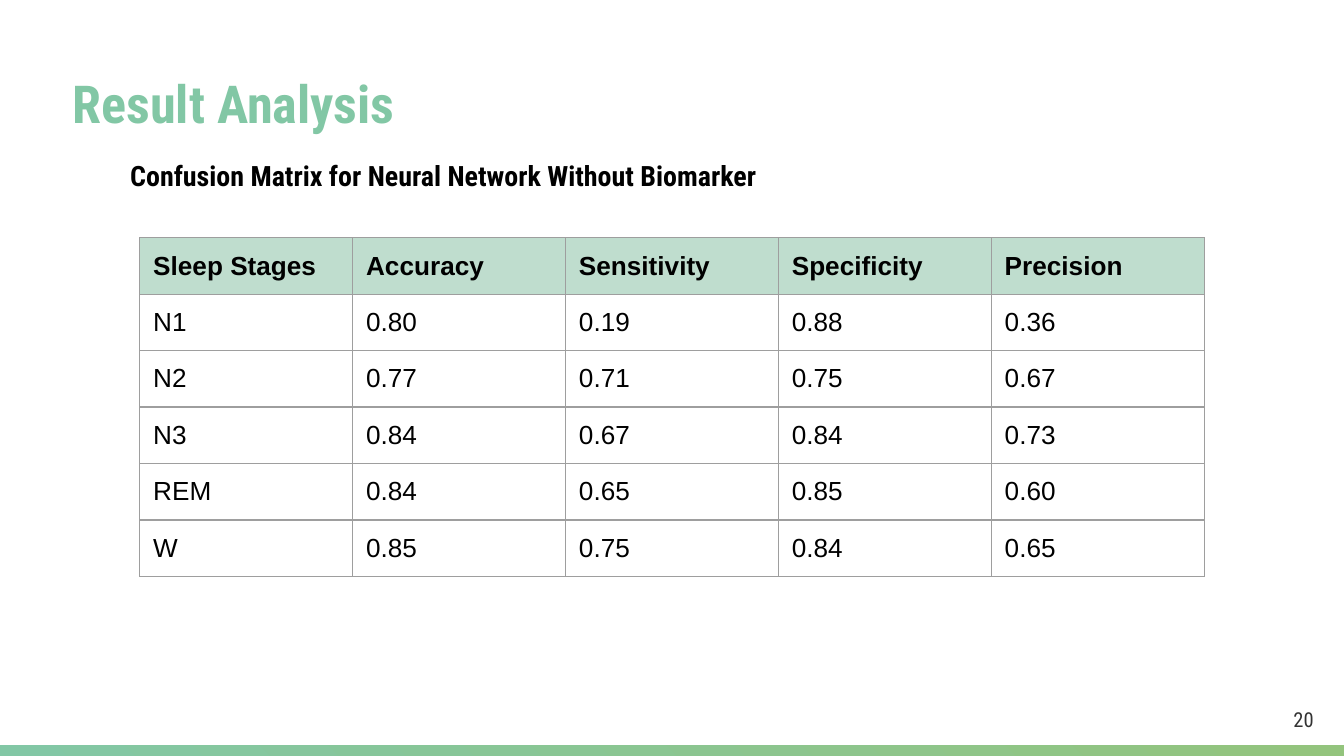
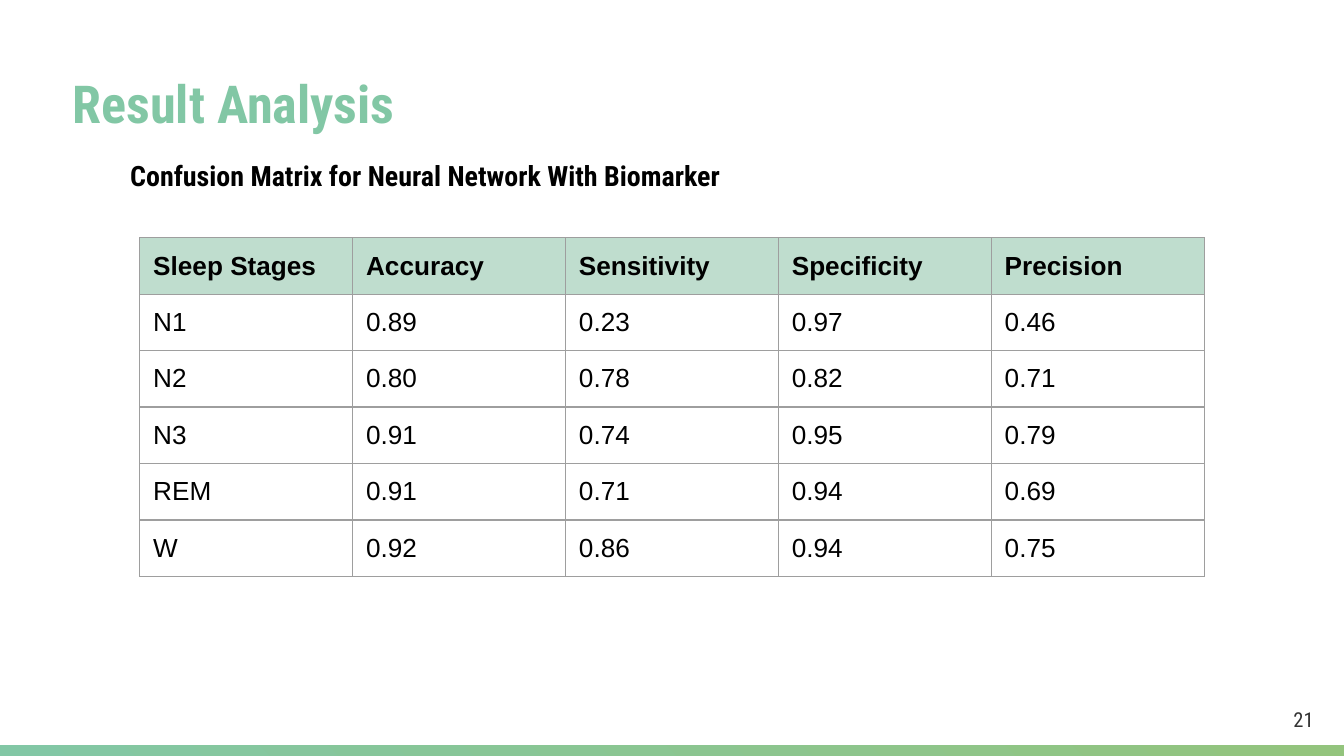
from dataclasses import dataclass

from lxml import etree
from pptx import Presentation
from pptx.dml.color import RGBColor
from pptx.enum.shapes import MSO_SHAPE
from pptx.enum.text import MSO_ANCHOR, MSO_AUTO_SIZE, PP_ALIGN
from pptx.oxml.ns import qn
from pptx.util import Inches, Pt

TITLE = "Result Analysis"
HEADER = ("Sleep Stages", "Accuracy", "Sensitivity", "Specificity", "Precision")
RESULTS = [
    {
        "number": "20",
        "subtitle": "Confusion Matrix for Neural Network Without Biomarker",
        "rows": [
            ("N1", "0.80", "0.19", "0.88", "0.36"),
            ("N2", "0.77", "0.71", "0.75", "0.67"),
            ("N3", "0.84", "0.67", "0.84", "0.73"),
            ("REM", "0.84", "0.65", "0.85", "0.60"),
            ("W", "0.85", "0.75", "0.84", "0.65"),
        ],
    },
    {
        "number": "21",
        "subtitle": "Confusion Matrix for Neural Network With Biomarker",
        "rows": [
            ("N1", "0.89", "0.23", "0.97", "0.46"),
            ("N2", "0.80", "0.78", "0.82", "0.71"),
            ("N3", "0.91", "0.74", "0.95", "0.79"),
            ("REM", "0.91", "0.71", "0.94", "0.69"),
            ("W", "0.92", "0.86", "0.94", "0.75"),
        ],
    },
]


@dataclass(frozen=True)
class Theme:
    green: str = "82C7A5"
    leaf: str = "93C47D"
    header_fill: str = "BFDDCE"
    border: str = "9E9E9E"
    black: str = "000000"
    gray: str = "333333"
    heading_font: str = "Roboto Condensed"
    table_font: str = "Arial"
    title_size: int = 28
    subtitle_size: int = 15
    table_size: int = 14
    number_size: int = 11
    border_width: float = 0.75


THEME = Theme()
TITLE_ONLY = 5
SLIDE_WIDTH = Inches(10)
SLIDE_HEIGHT = SLIDE_WIDTH * 9 // 16
BAND_HEIGHT = Inches(0.08)
TABLE_LEFT, TABLE_TOP = 1.04, 1.77
TABLE_WIDTH, ROW_HEIGHT = 7.92, 0.42
INSET = Inches(0.1)
BORDER_TAGS = ("a:lnL", "a:lnR", "a:lnT", "a:lnB")


def set_insets(target):
    """Give a text frame or a table cell the same margin on all sides."""
    target.margin_left = target.margin_right = INSET
    target.margin_top = target.margin_bottom = INSET


def write(frame, text, font, size, color, bold=False, align=PP_ALIGN.LEFT):
    paragraph = frame.paragraphs[0]
    paragraph.alignment = align
    run = paragraph.add_run()
    run.text = text
    run.font.name = font
    run.font.size = Pt(size)
    run.font.bold = bold
    run.font.color.rgb = RGBColor.from_string(color)


def prepare_frame(shape, anchor=MSO_ANCHOR.TOP):
    frame = shape.text_frame
    frame.word_wrap = True
    frame.auto_size = MSO_AUTO_SIZE.NONE
    frame.vertical_anchor = anchor
    set_insets(frame)
    return frame


def add_title(slide):
    title = slide.shapes.title
    title.left, title.top = Inches(0.44), Inches(0.43)
    title.width, title.height = Inches(8.68), Inches(0.71)
    write(prepare_frame(title), TITLE, THEME.heading_font, THEME.title_size,
          THEME.green, bold=True)


def add_footer(slide, number):
    box = slide.shapes.add_textbox(Inches(9.4), Inches(5.16), Inches(0.6), Inches(0.39))
    write(prepare_frame(box, MSO_ANCHOR.MIDDLE), number, THEME.heading_font,
          THEME.number_size, THEME.gray, align=PP_ALIGN.CENTER)

    band = slide.shapes.add_shape(MSO_SHAPE.RECTANGLE, 0, SLIDE_HEIGHT - BAND_HEIGHT,
                                  SLIDE_WIDTH, BAND_HEIGHT)
    band.shadow.inherit = False
    band.line.fill.background()
    band.fill.gradient()
    band.fill.gradient_angle = 45
    for stop, color in zip(band.fill.gradient_stops, (THEME.green, THEME.leaf)):
        stop.color.rgb = RGBColor.from_string(color)


def add_subtitle(slide, text):
    box = slide.shapes.add_textbox(Inches(0.87), Inches(1.08), Inches(5.95), Inches(0.45))
    write(prepare_frame(box), text, THEME.heading_font, THEME.subtitle_size,
          THEME.black, bold=True)


def add_borders(cell):
    properties = cell._tc.get_or_add_tcPr()
    for tag in BORDER_TAGS:
        line = etree.SubElement(properties, qn(tag), w=str(Pt(THEME.border_width)))
        fill = etree.SubElement(line, qn("a:solidFill"))
        etree.SubElement(fill, qn("a:srgbClr"), val=THEME.border)


def add_results_table(slide, rows):
    lines = [HEADER, *rows]
    table = slide.shapes.add_table(
        len(lines), len(HEADER), Inches(TABLE_LEFT), Inches(TABLE_TOP),
        Inches(TABLE_WIDTH), Inches(ROW_HEIGHT * len(lines))).table
    table.horz_banding = False
    for row_index, values in enumerate(lines):
        is_header = row_index == 0
        for column_index, value in enumerate(values):
            cell = table.cell(row_index, column_index)
            set_insets(cell)
            add_borders(cell)
            if is_header:
                cell.fill.solid()
                cell.fill.fore_color.rgb = RGBColor.from_string(THEME.header_fill)
            else:
                cell.fill.background()
            write(cell.text_frame, value, THEME.table_font, THEME.table_size,
                  THEME.black, bold=is_header)


def main():
    presentation = Presentation()
    presentation.slide_width = SLIDE_WIDTH
    presentation.slide_height = SLIDE_HEIGHT
    for result in RESULTS:
        slide = presentation.slides.add_slide(presentation.slide_layouts[TITLE_ONLY])
        add_title(slide)
        add_footer(slide, result["number"])
        add_results_table(slide, result["rows"])
        add_subtitle(slide, result["subtitle"])
    presentation.save("out.pptx")


if __name__ == "__main__":
    main()
